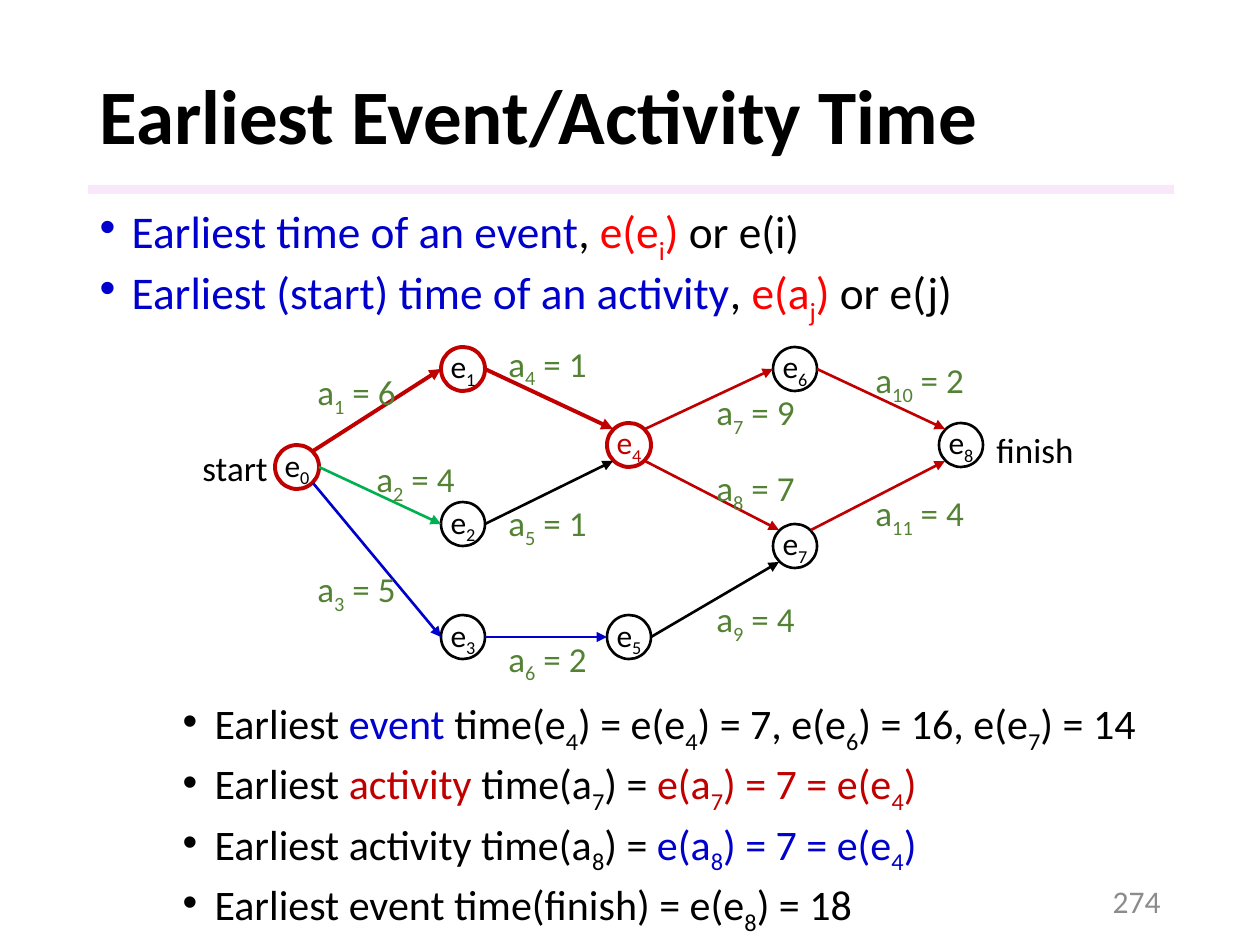
from dataclasses import dataclass
from math import cos, radians, sin

from lxml.etree import SubElement
from pptx import Presentation
from pptx.dml.color import RGBColor
from pptx.enum.shapes import MSO_CONNECTOR, MSO_SHAPE
from pptx.enum.text import MSO_ANCHOR, MSO_AUTO_SIZE, PP_ALIGN
from pptx.oxml.ns import qn
from pptx.util import Pt

PX = 914400 / 126


def emu(*lengths):
    return [round(length * PX) for length in lengths]


@dataclass(frozen=True)
class Theme:
    font: str = "Calibri"
    black: str = "000000"
    blue: str = "0000CC"
    bright_red: str = "FF0000"
    red: str = "C00000"
    green: str = "00B050"
    olive: str = "548235"
    gray: str = "8C8C8C"
    bar: str = "F3D2F4"
    title_size: float = 44
    definition_size: float = 25.9
    result_size: float = 24
    label_size: float = 20
    node_size: float = 18
    thick: float = 2.25
    thin: float = 1.5


class SlideBuilder:
    def __init__(self, slide, theme):
        self.slide = slide
        self.theme = theme

    def add_runs(self, paragraph, pieces, size, bold=False):
        for text, color in pieces:
            for index, part in enumerate(text.split("|")):
                if not part:
                    continue
                run = paragraph.add_run()
                run.text = part
                run.font.name = self.theme.font
                run.font.size = Pt(size)
                run.font.bold = bold
                run.font.color.rgb = RGBColor.from_string(color)
                if index % 2:
                    run._r.get_or_add_rPr().set("baseline", "-25000")

    def place(self, shape, box):
        shape.left, shape.top, shape.width, shape.height = emu(*box)

    def title(self, text, box):
        shape = self.slide.shapes.title
        self.place(shape, box)
        frame = shape.text_frame
        frame.auto_size = MSO_AUTO_SIZE.NONE
        frame.vertical_anchor = MSO_ANCHOR.MIDDLE
        paragraph = frame.paragraphs[0]
        paragraph.alignment = PP_ALIGN.LEFT
        paragraph.line_spacing = 0.9
        self.add_runs(paragraph, [(text, self.theme.black)], self.theme.title_size, True)

    def bullets(self, index, items, box, size, indent, line_spacing, space):
        shape = self.slide.placeholders[index]
        self.place(shape, box)
        frame = shape.text_frame
        frame.auto_size = MSO_AUTO_SIZE.NONE
        frame.vertical_anchor = MSO_ANCHOR.TOP
        margin, hanging = emu(indent, -32)
        for number, pieces in enumerate(items):
            paragraph = frame.add_paragraph() if number else frame.paragraphs[0]
            properties = paragraph._p.get_or_add_pPr()
            properties.set("marL", str(margin))
            properties.set("indent", str(hanging))
            SubElement(properties, qn("a:buFont")).set("typeface", "Arial")
            SubElement(properties, qn("a:buChar")).set("char", "•")
            paragraph.line_spacing = line_spacing
            paragraph.space_before = Pt(space if number else 0)
            self.add_runs(paragraph, pieces, size)

    def text(self, text, box, size, color, alignment=PP_ALIGN.LEFT, anchor=MSO_ANCHOR.TOP):
        frame = self.slide.shapes.add_textbox(*emu(*box)).text_frame
        frame.word_wrap = False
        frame.vertical_anchor = anchor
        frame.paragraphs[0].alignment = alignment
        self.add_runs(frame.paragraphs[0], [(text, color)], size)

    def bar(self, box, color, opacity):
        shape = self.slide.shapes.add_shape(MSO_SHAPE.RECTANGLE, *emu(*box))
        shape.shadow.inherit = False
        shape.fill.solid()
        shape.fill.fore_color.rgb = RGBColor.from_string(color)
        shape.line.fill.background()
        color_element = shape._element.spPr.find(qn("a:solidFill"))[0]
        SubElement(color_element, qn("a:alpha")).set("val", str(opacity * 1000))

    def node(self, text, center, radius, outline, width, color):
        box = center[0] - radius, center[1] - radius, 2 * radius, 2 * radius
        shape = self.slide.shapes.add_shape(MSO_SHAPE.OVAL, *emu(*box))
        shape.shadow.inherit = False
        shape.fill.background()
        shape.line.color.rgb = RGBColor.from_string(outline)
        shape.line.width = Pt(width)
        frame = shape.text_frame
        frame.word_wrap = False
        frame.margin_left = frame.margin_right = 0
        frame.vertical_anchor = MSO_ANCHOR.MIDDLE
        frame.paragraphs[0].alignment = PP_ALIGN.CENTER
        self.add_runs(frame.paragraphs[0], [(text, color)], self.theme.node_size)

    def arrow(self, start, end, color, width):
        connector = self.slide.shapes.add_connector(
            MSO_CONNECTOR.STRAIGHT, *emu(*start, *end))
        connector.line.color.rgb = RGBColor.from_string(color)
        connector.line.width = Pt(width)
        properties = connector._element.spPr
        SubElement(properties.find(qn("a:ln")), qn("a:tailEnd")).set("type", "triangle")
        SubElement(properties, qn("a:effectLst"))


def rim(center, radius, degrees):
    angle = radians(degrees)
    return round(center[0] + radius * cos(angle)), round(center[1] + radius * sin(angle))


def draw_network(builder):
    theme = builder.theme
    radius = 22
    columns_and_rows = [(0, 467), (1, 369), (1, 524), (1, 637), (2, 445),
                        (2, 637), (3, 369), (3, 546), (4, 445)]
    centers = [(297 + 166 * column, y) for column, y in columns_and_rows]
    critical = {0, 1, 4}
    for number, center in enumerate(centers):
        outline, width = ((theme.red, theme.thick) if number in critical
                          else (theme.black, theme.thin))
        color = theme.red if number == 4 else theme.black
        builder.node(f"e|{number}|", center, radius, outline, width, color)

    activities = [
        (0, -45, 1, 180, theme.red, theme.thick, 6, (305, 364)),
        (0, 0, 2, 180, theme.green, theme.thin, 4, (364, 451)),
        (0, 45, 3, 180, theme.blue, theme.thin, 5, (305, 561)),
        (1, 0, 4, 225, theme.red, theme.thick, 1, (496, 336)),
        (2, 0, 4, 135, theme.black, theme.thin, 1, (496, 495)),
        (3, 0, 5, 180, theme.blue, theme.thin, 2, (496, 631)),
        (4, -45, 6, 180, theme.red, theme.thin, 9, (704, 384)),
        (4, 45, 7, 225, theme.red, theme.thin, 7, (704, 460)),
        (5, 0, 7, 135, theme.black, theme.thin, 4, (704, 591)),
        (6, 0, 8, 225, theme.red, theme.thin, 2, (863, 352)),
        (7, -45, 8, 135, theme.red, theme.thin, 4, (863, 485)),
    ]
    for number, activity in enumerate(activities, 1):
        source, leaving, target, arriving, color, width, duration, position = activity
        builder.arrow(rim(centers[source], radius, leaving),
                      rim(centers[target], radius, arriving), color, width)
        label_width = 106 if number < 10 else 117
        builder.text(f"a|{number}| = {duration}", (*position, label_width, 55),
                     theme.label_size, theme.olive)
    builder.text("start", (190, 440, 92, 55), theme.label_size, theme.black)
    builder.text("finish", (984, 422, 103, 55), theme.label_size, theme.black)


def main():
    theme = Theme()
    presentation = Presentation()
    presentation.slide_width, presentation.slide_height = emu(1260, 945)
    slide = presentation.slides.add_slide(presentation.slide_layouts[3])
    builder = SlideBuilder(slide, theme)

    builder.bar((88, 185, 1086, 9), theme.bar, 50)
    builder.title("Earliest Event/Activity Time", (87, 50, 1086, 140))
    definitions = [
        [("Earliest time of an event", theme.blue), (", ", theme.black),
         ("e(e|i|) ", theme.bright_red), ("or e(i)", theme.black)],
        [("Earliest (start) time of an activity", theme.blue), (", ", theme.black),
         ("e(a|j|)", theme.bright_red), (" or e(j)", theme.black)],
    ]
    builder.bullets(1, definitions, (87, 208, 1086, 116), theme.definition_size, 32, 0.7, 10)
    draw_network(builder)
    results = [
        [("Earliest ", theme.black), ("event", theme.blue),
         (" time(e|4|) = e(e|4|) = 7, e(e|6|) = 16, e(e|7|) = 14", theme.black)],
        [("Earliest ", theme.black), ("activity", theme.red),
         (" time(a|7|) = ", theme.black), ("e(a|7|) = 7 = e(e|4|)", theme.red)],
        [("Earliest activity time(a|8|) = ", theme.black),
         ("e(a|8|) = 7 = e(e|4|)", theme.blue)],
        [("Earliest event time(finish) = e(e|8|) = 18", theme.black)],
    ]
    builder.bullets(2, results, (107, 692, 1086, 234), theme.result_size, 95, 0.9, 5)
    builder.text("274", (890, 876, 283, 50), theme.node_size, theme.gray,
                 PP_ALIGN.RIGHT, MSO_ANCHOR.MIDDLE)
    presentation.save("out.pptx")


if __name__ == "__main__":
    main()
